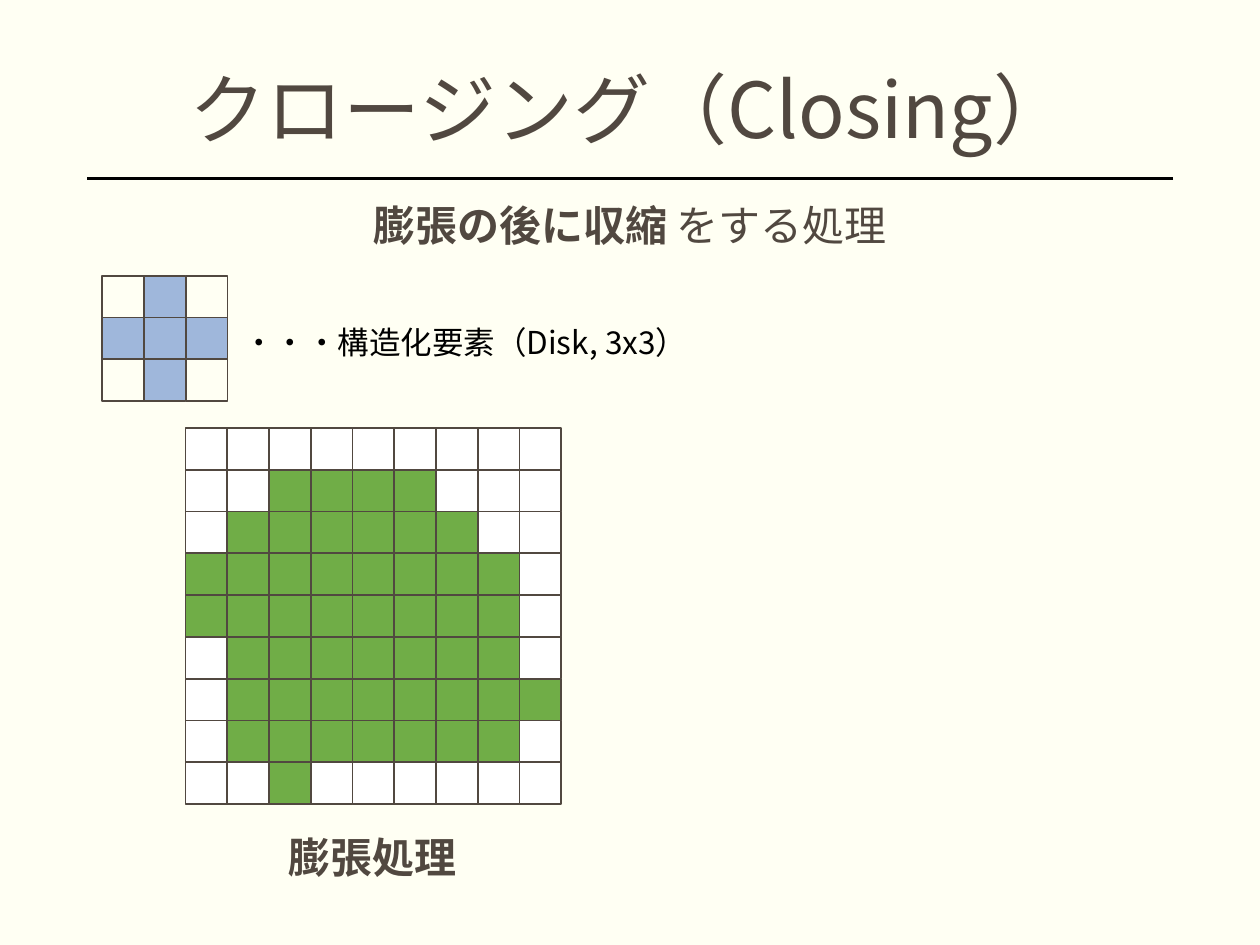
from lxml.etree import SubElement as Sub
from pptx import Presentation as Deck
from pptx.dml.color import RGBColor as Rgb
from pptx.enum.shapes import MSO_CONNECTOR as Link, MSO_SHAPE as Form
from pptx.enum.text import MSO_ANCHOR as Anchor, MSO_AUTO_SIZE as Fit, PP_ALIGN as Align
from pptx.oxml.ns import qn
from pptx.util import Cm, Pt

CREAM = Rgb(0xFF, 0xFF, 0xF3)
BROWN = Rgb(0x51, 0x48, 0x40)
BLACK = Rgb(0x00, 0x00, 0x00)
WHITE = Rgb(0xFF, 0xFF, 0xFF)
GREEN = Rgb(0x70, 0xAD, 0x47)
BLUE = Rgb(0x44, 0x72, 0xC4)
FONT = "Noto Sans CJK JP"
CELL = 0.842

DISK = (".#.", "###", ".#.")
BLOB = (
    ".........",
    "..####...",
    ".######..",
    "########.",
    "########.",
    ".#######.",
    ".########",
    ".#######.",
    "..#......",
)


def style(run, size, color, bold=False):
    font = run.font
    font.size = Pt(size)
    font.bold = bold
    font.color.rgb = color
    font.name = FONT
    Sub(run._r.get_or_add_rPr(), qn("a:ea"), typeface=FONT)


def place(shape, box):
    shape.left, shape.top, shape.width, shape.height = map(Cm, box)


def center(para):
    para.alignment = Align.CENTER
    para.line_spacing = 0.9


def head(slide, box):
    title = slide.shapes.title
    place(title, box)
    frame = title.text_frame
    frame.text = "クロージング（Closing）"
    frame.vertical_anchor = Anchor.MIDDLE
    frame.auto_size = Fit.NONE
    center(frame.paragraphs[0])
    style(frame.paragraphs[0].runs[0], 44, BROWN)

    left, top, width, height = box
    level = Cm(top + height + 0.23)
    rule = slide.shapes.add_connector(
        Link.STRAIGHT, Cm(left + width), level, Cm(left), level)
    rule.line.color.rgb = BLACK
    rule.line.width = Pt(2)
    Sub(rule._element.spPr, qn("a:effectLst"))


def lead(slide, box):
    body = slide.placeholders[1]
    place(body, box)
    frame = body.text_frame
    frame.auto_size = Fit.NONE
    frame.text = "膨張の後に収縮 "
    para = frame.paragraphs[0]
    para.add_run().text = "をする処理"
    center(para)
    para.space_before = Pt(10)
    props = para._p.get_or_add_pPr()
    props.set("marL", "0")
    props.set("indent", "0")
    Sub(props, qn("a:buNone"))
    for run, bold in zip(para.runs, (True, False)):
        style(run, 24, BROWN, bold)


def paint(cell, color, alpha):
    if color is None:
        cell.fill.background()
        return
    cell.fill.solid()
    cell.fill.fore_color.rgb = color
    if alpha < 100:
        tone = cell._element.spPr.find(qn("a:solidFill"))[0]
        Sub(tone, qn("a:alpha"), val=str(alpha * 1000))


def grid(slide, left, top, rows, full, blank=None, alpha=100):
    group = slide.shapes.add_group_shape()
    for i, row in enumerate(rows):
        for j, mark in enumerate(row):
            cell = group.shapes.add_shape(
                Form.RECTANGLE, Cm(left + j * CELL), Cm(top + i * CELL),
                Cm(CELL), Cm(CELL))
            cell.shadow.inherit = False
            cell.line.color.rgb = BROWN
            cell.line.width = Pt(1)
            if mark == "#":
                paint(cell, full, alpha)
            else:
                paint(cell, blank, 100)


def label(slide, box, text, size, color, bold=False):
    note = slide.shapes.add_textbox(*map(Cm, box))
    frame = note.text_frame
    frame.word_wrap = False
    frame.auto_size = Fit.SHAPE_TO_FIT_TEXT
    frame.text = text
    style(frame.paragraphs[0].runs[0], size, color, bold)


def main():
    deck = Deck()
    deck.slide_width, deck.slide_height = Cm(25.4), Cm(19.05)
    slide = deck.slides.add_slide(deck.slide_layouts[1])
    slide.background.fill.solid()
    slide.background.fill.fore_color.rgb = CREAM

    head(slide, (1.75, 1.19, 21.9, 2.18))
    lead(slide, (1.75, 4.01, 21.9, 1.55))
    grid(slide, 3.74, 8.63, BLOB, GREEN, WHITE)
    grid(slide, 2.06, 5.56, DISK, BLUE, alpha=51)
    label(slide, (4.65, 6.38, 9.83, 1.02),
          "・・・構造化要素（Disk, 3x3）", 18, BLACK)
    label(slide, (5.56, 16.64, 3.94, 1.27), "膨張処理", 24, BROWN, True)
    deck.save("out.pptx")


if __name__ == "__main__":
    main()
